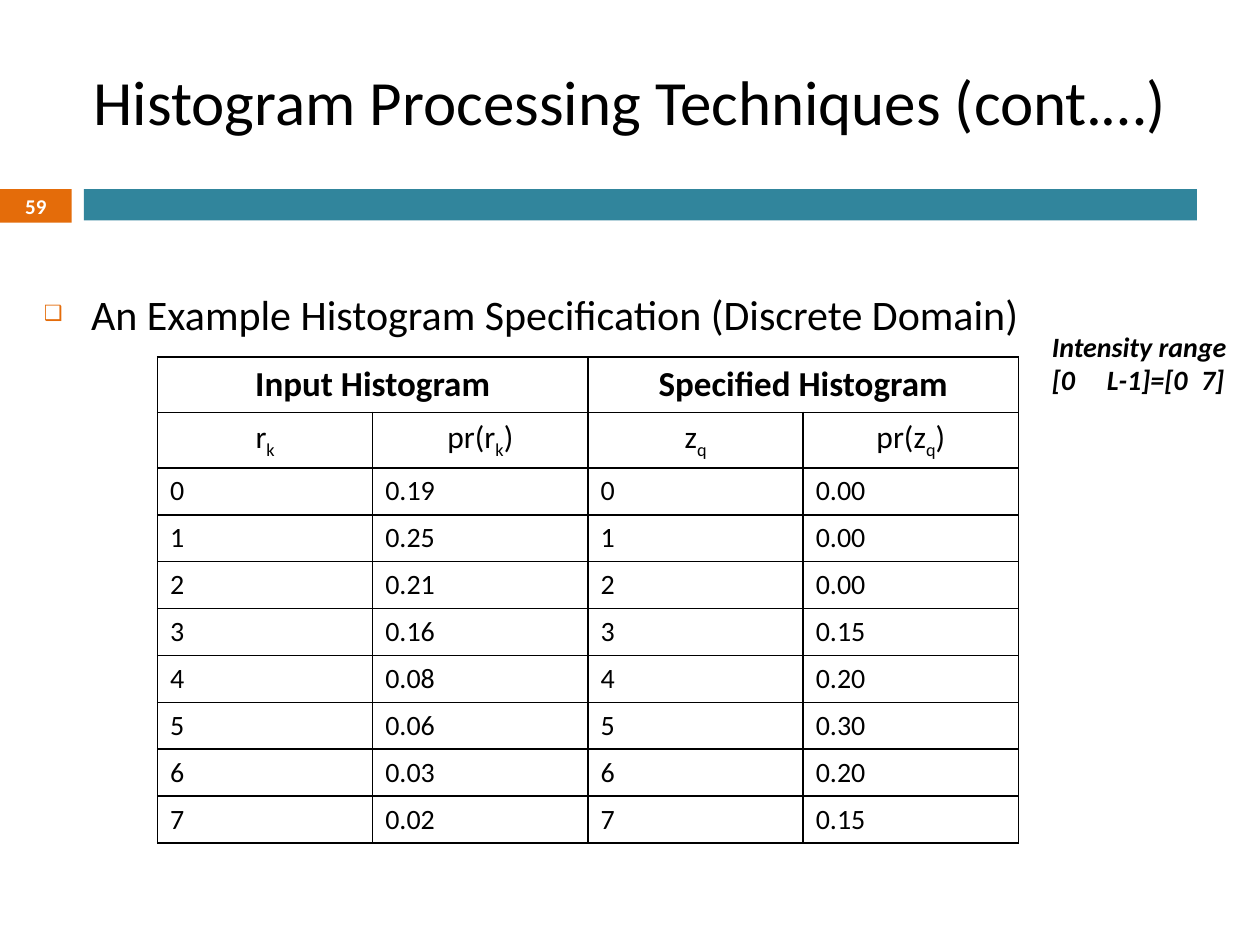
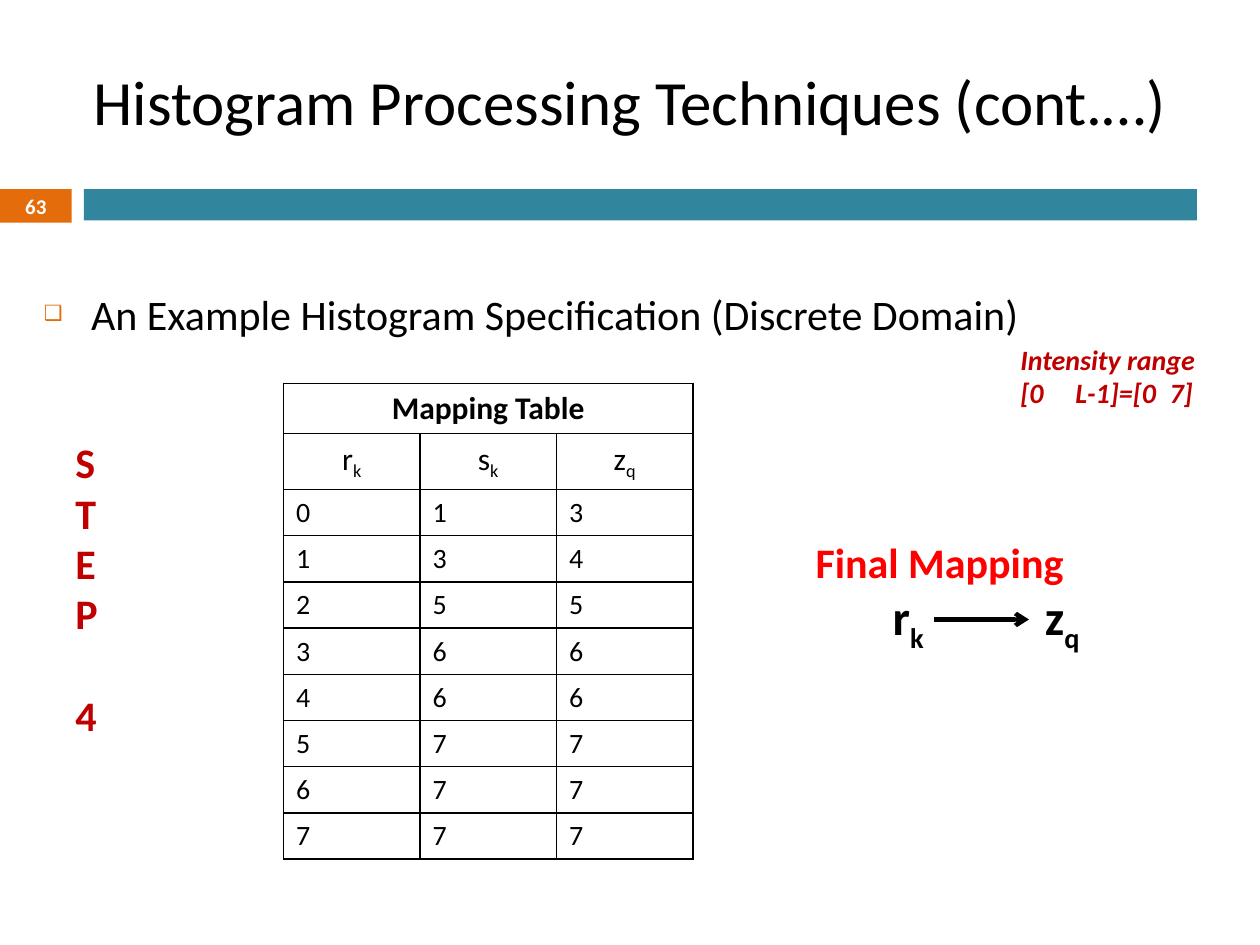
"""Build two slides on histogram specification in the discrete domain."""
from dataclasses import dataclass, field

from lxml import etree
from pptx import Presentation
from pptx.dml.color import RGBColor
from pptx.enum.shapes import MSO_CONNECTOR, MSO_SHAPE
from pptx.enum.text import MSO_ANCHOR, PP_ALIGN
from pptx.oxml.ns import qn
from pptx.util import Pt

CENTER, LEFT = PP_ALIGN.CENTER, PP_ALIGN.LEFT
TOP, MIDDLE = MSO_ANCHOR.TOP, MSO_ANCHOR.MIDDLE
RECTANGLE, STRAIGHT = MSO_SHAPE.RECTANGLE, MSO_CONNECTOR.STRAIGHT

FONT = "Calibri"
BLACK, WHITE, ORANGE, TEAL = "000000", "FFFFFF", "E46C0A", "31859C"
CRIMSON, RED = "C00000", "FF0000"
TITLE = "Histogram Processing Techniques (cont.…)"
TOPIC = "An Example Histogram Specification (Discrete Domain)"
BLANK_LAYOUT = 6


@dataclass
class Line:
    """One paragraph; text between underscores is subscript."""
    text: str
    size: float
    color: str = BLACK
    align: int = LEFT
    tabs: tuple = ()
    space_before: float = 0
    format: dict = field(default_factory=dict)


@dataclass
class Grid:
    """A table with merged group headings, symbols and values."""
    left: float
    top: float
    column_width: float
    heights: tuple
    heading_size: float
    headings: list
    symbols: list
    values: list


def rgb(color: str) -> RGBColor:
    """Turn a hex string into a colour."""
    return RGBColor.from_string(color)


def add_element(parent, tag: str, **attributes):
    """Append a DrawingML element and return it."""
    return etree.SubElement(parent, qn(f"a:{tag}"), attributes)


def write_line(para, line: Line) -> None:
    """Fill a paragraph with the spans of a line."""
    para.alignment = line.align
    if line.space_before:
        para.space_before = Pt(line.space_before)
    if line.tabs:
        stops = add_element(para._p.get_or_add_pPr(), "tabLst")
        for position in line.tabs:
            add_element(stops, "tab", pos=str(Pt(position)), algn="l")
    for index, text in enumerate(line.text.split("_")):
        if not text:
            continue
        span = para.add_run()
        span.text = text
        formats = {"name": FONT, "size": Pt(line.size), **line.format}
        for name, value in formats.items():
            setattr(span.font, name, value)
        span.font.color.rgb = rgb(line.color)
        if index % 2:
            span._r.get_or_add_rPr().set("baseline", "-25000")


def write_lines(frame, lines: list[Line], anchor=TOP) -> None:
    """Write every line into a text frame."""
    frame.vertical_anchor = anchor
    for index, line in enumerate(lines):
        write_line(frame.add_paragraph() if index else frame.paragraphs[0], line)


def add_text(page, place: tuple, lines: list[Line], anchor=TOP, wrap: bool = True):
    """Add a text box and return its frame."""
    frame = page.shapes.add_textbox(*map(Pt, place)).text_frame
    frame.word_wrap = wrap
    write_lines(frame, lines, anchor)
    return frame


def add_band(page, place: tuple, color: str):
    """Add a plain filled rectangle."""
    band = page.shapes.add_shape(RECTANGLE, *map(Pt, place))
    band.shadow.inherit = False
    band.fill.solid()
    band.fill.fore_color.rgb = rgb(color)
    band.line.fill.background()
    return band


def add_topic(page) -> None:
    """Add the bulleted topic of the slide."""
    frame = add_text(page, (18, 126, 648, 356.4), [Line(TOPIC, 24)])
    frame.margin_top = Pt(38.6)
    properties = frame.paragraphs[0]._p.get_or_add_pPr()
    properties.set("marL", str(Pt(27)))
    properties.set("indent", str(Pt(-27)))
    add_element(add_element(properties, "buClr"), "srgbClr", val=ORANGE)
    add_element(properties, "buSzPct", val="50000")
    add_element(properties, "buFont", typeface=FONT)
    add_element(properties, "buChar", char="❑")


def add_page(deck, number: int):
    """Add a slide with the shared title, bands and topic."""
    page = deck.slides.add_slide(deck.slide_layouts[BLANK_LAYOUT])
    add_text(page, (36, 12.24, 648, 90), [Line(TITLE, 36, align=CENTER)], MIDDLE)
    add_topic(page)
    badge = add_band(page, (0, 108, 41, 19.2), ORANGE)
    label = Line(str(number), 12, WHITE, CENTER, format={"bold": True})
    write_lines(badge.text_frame, [label], MIDDLE)
    add_band(page, (48, 108, 636, 18), TEAL)
    return page


def add_range(page, left: float, top: float, color: str) -> None:
    """Add the note on the intensity range."""
    style = {"bold": True, "italic": True}
    add_text(page, (left, top, 126, 46), [
        Line("Intensity range", 16, color, format=style),
        Line("[0\tL-1]=[0\t7]", 16, color, tabs=(31.4, 85.2), format=style)])


def style_cell(cell) -> None:
    """Give a cell black borders and no fill."""
    properties = cell._tc.get_or_add_tcPr()
    for side in "LRTB":
        border = add_element(properties, f"ln{side}", w=str(Pt(1)))
        add_element(add_element(border, "solidFill"), "srgbClr", val=BLACK)
    cell.fill.background()


def add_grid(page, grid: Grid) -> None:
    """Draw a table with merged headings."""
    columns = len(grid.symbols)
    rows = len(grid.values) + 2
    heading_height, symbol_height, value_height = grid.heights
    heights = [heading_height, symbol_height] + [value_height] * len(grid.values)
    place = (grid.left, grid.top, columns * grid.column_width, sum(heights))
    table = page.shapes.add_table(rows, columns, *map(Pt, place)).table
    table.first_row = table.horz_banding = False
    for column in table.columns:
        column.width = Pt(grid.column_width)
    for row, height in zip(table.rows, heights):
        row.height = Pt(height)
    for cell in table.iter_cells():
        style_cell(cell)
    span_width = columns // len(grid.headings)
    for index, heading in enumerate(grid.headings):
        first = index * span_width
        cell = table.cell(0, first)
        cell.merge(table.cell(0, first + span_width - 1))
        write_lines(cell.text_frame, [
            Line(heading, grid.heading_size, align=CENTER, format={"bold": True})])
    for column, symbol in enumerate(grid.symbols):
        write_lines(table.cell(1, column).text_frame, [Line(symbol, 18, align=CENTER)])
    for row, values in enumerate(grid.values, 2):
        for column, value in enumerate(values):
            write_lines(table.cell(row, column).text_frame, [Line(str(value), 16)])


def add_arrow(page, start: tuple, end: tuple) -> None:
    """Draw a black arrow."""
    arrow = page.shapes.add_connector(STRAIGHT, *map(Pt, start + end))
    arrow.line.color.rgb = rgb(BLACK)
    arrow.line.width = Pt(2.5)
    add_element(arrow.line._get_or_add_ln(), "tailEnd", type="arrow")
    add_element(arrow._element.spPr, "effectLst")


def add_histograms_page(deck) -> None:
    """Build the slide with the input and specified histograms."""
    page = add_page(deck, 59)
    inputs = ["0.19", "0.25", "0.21", "0.16", "0.08", "0.06", "0.03", "0.02"]
    specified = ["0.00", "0.00", "0.00", "0.15", "0.20", "0.30", "0.20", "0.15"]
    values = [(level, source, level, target)
              for level, (source, target) in enumerate(zip(inputs, specified))]
    add_grid(page, Grid(
        90, 204, 123, (31.6, 31.6, 26.8), 20,
        ["Input Histogram", "Specified Histogram"],
        ["r_k", "pr(r_k_)", "z_q", "pr(z_q_)"], values))
    add_range(page, 594, 184.5, BLACK)


def add_mapping_page(deck) -> None:
    """Build the slide with the final mapping."""
    page = add_page(deck, 63)
    add_range(page, 576, 192, CRIMSON)
    equalized = [1, 3, 5, 6, 6, 7, 7, 7]
    mapped = [3, 4, 5, 6, 6, 7, 7, 7]
    add_grid(page, Grid(
        162, 219, 78, (28.8, 31.6, 26.4), 18, ["Mapping Table"],
        ["r_k", "s_k", "z_q"], list(zip(range(8), equalized, mapped))))
    bold = {"bold": True}
    step = [Line(letter, 24, CRIMSON, format=bold) for letter in "STEP"]
    step.append(Line("4", 24, CRIMSON, space_before=29, format=bold))
    add_text(page, (36, 246, 27, 181.5), step, wrap=False)
    add_text(page, (459, 303, 234, 70.5), [
        Line("Final Mapping", 24, RED, format=bold),
        Line("\tr_k_\tz_q", 28, tabs=(44, 131), format=bold)])
    add_arrow(page, (534, 354), (588, 354))


def main() -> None:
    """Build and save the deck."""
    deck = Presentation()
    deck.slide_width, deck.slide_height = Pt(720), Pt(540)
    add_histograms_page(deck)
    add_mapping_page(deck)
    deck.save("out.pptx")


if __name__ == "__main__":
    main()
